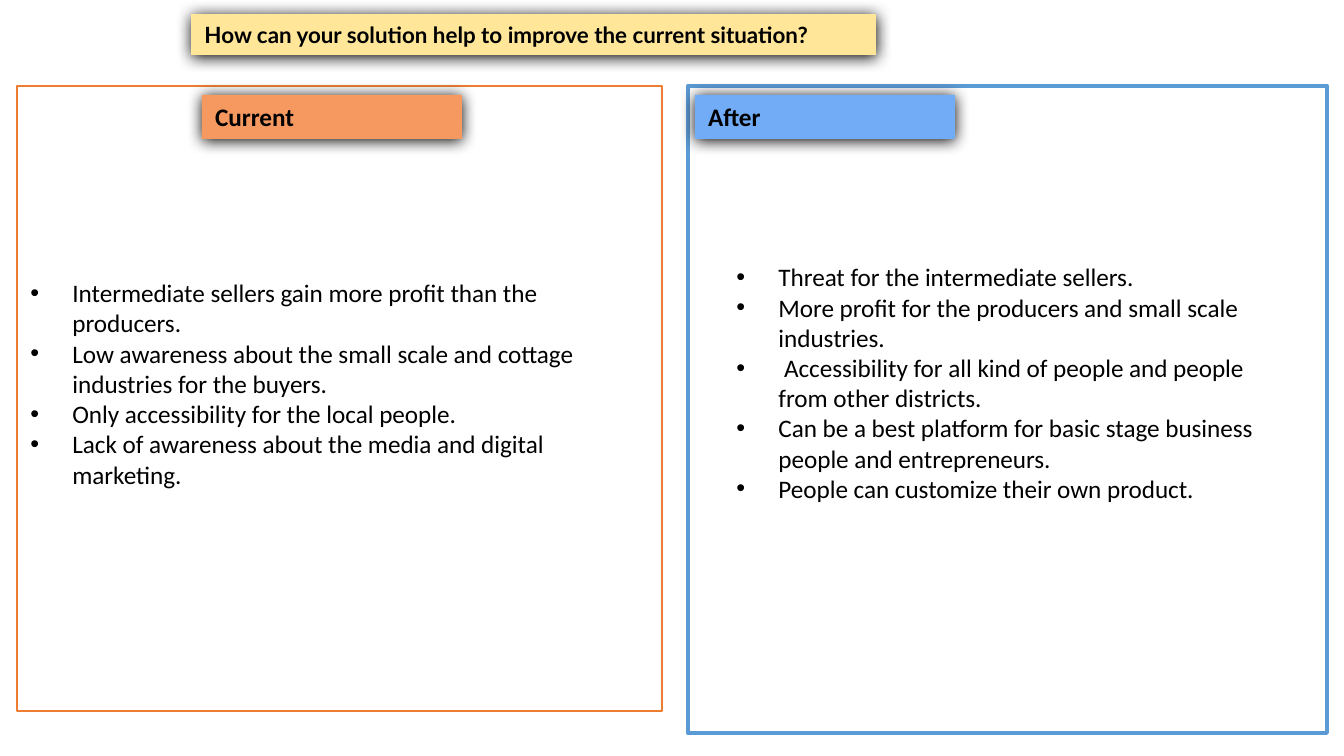
from lxml.etree import SubElement
from pptx import Presentation
from pptx.dml.color import RGBColor
from pptx.enum.shapes import MSO_SHAPE as SHAPE
from pptx.enum.text import MSO_ANCHOR as ANCHOR, MSO_AUTO_SIZE as AUTO_SIZE, PP_ALIGN as ALIGN
from pptx.oxml.ns import qn
from pptx.util import Pt

PX = 914400 / 134.4  # EMU in one px
BLACK = RGBColor(0x00, 0x00, 0x00)
WHITE = RGBColor(0xFF, 0xFF, 0xFF)
YELLOW = RGBColor(0xFF, 0xE6, 0x99)
ORANGE = RGBColor(0xED, 0x7D, 0x31)
LIGHT_ORANGE = RGBColor(0xF6, 0x99, 0x60)
BLUE = RGBColor(0x5B, 0x9B, 0xD5)
LIGHT_BLUE = RGBColor(0x72, 0xAB, 0xF6)

HEADING_FONT = {"name": "Lato", "size": Pt(12), "bold": True}
LABEL_FONT = {"name": "Calibri", "size": Pt(13.5), "bold": True}
LIST_FONT = {"name": "Calibri", "size": Pt(13.5), "bold": False}


def style_box(box, bounds, fill=None, line=None, width=1, shadow=False):
    for side, length in zip(("left", "top", "width", "height"), bounds):
        setattr(box, side, round(length * PX))
    if fill is None:
        box.fill.background()
    else:
        box.fill.solid()
        box.fill.fore_color.rgb = fill
    if line is None:
        box.line.fill.background()
    else:
        box.line.color.rgb = line
        box.line.width = Pt(width)
    box.shadow.inherit = False
    if shadow:
        effects = box.element.spPr.find(qn("a:effectLst"))
        outer = SubElement(effects, qn("a:outerShdw"), blurRad=str(Pt(8.5)),
                           dist=str(Pt(1)), dir="5400000", algn="ctr", rotWithShape="0")
        SubElement(outer, qn("a:srgbClr"), val="000000")


def write_text(box, lines, font, anchor=ANCHOR.TOP, bulleted=False):
    frame = box.text_frame
    frame.word_wrap = True
    frame.auto_size = AUTO_SIZE.NONE
    frame.vertical_anchor = anchor
    for number, line in enumerate(lines):
        para = frame.add_paragraph() if number else frame.paragraphs[0]
        para.alignment = ALIGN.LEFT
        para.space_before = Pt(0)
        span = para.add_run()
        span.text = line
        span.font.color.rgb = BLACK
        for name, value in font.items():
            setattr(span.font, name, value)
        if bulleted:
            props = para._p.get_or_add_pPr()
            props.set("marL", str(round(42 * PX)))
            props.set("indent", str(round(-42 * PX)))
            SubElement(props, qn("a:buFont"), typeface="Arial")
            SubElement(props, qn("a:buChar"), char="•")


deck = Presentation()
deck.slide_width = round(1344 * PX)
deck.slide_height = round(756 * PX)
page = deck.slides.add_slide(deck.slide_layouts[3])  # Two Content
heading, current_list, after_list = page.placeholders

# Heading
style_box(heading, (191, 14, 685, 41), YELLOW, shadow=True)
write_text(heading, ["How can your solution help to improve the current situation?"],
           HEADING_FONT)

# Current situation: the list sits in the orange frame, a line above its middle
style_box(current_list, (17, 86, 645, 625), WHITE, ORANGE)
write_text(current_list, [
    "Intermediate sellers gain more profit than the producers.",
    "Low awareness about the small scale and cottage industries for the buyers.",
    "Only accessibility for the local people.",
    "Lack of awareness about the media and digital marketing.",
], LIST_FONT, ANCHOR.MIDDLE, bulleted=True)
current_list.text_frame.margin_bottom = round(37 * PX)

# Situation after: the list lies over a blue frame
style_box(after_list, (723, 255, 565, 308))
write_text(after_list, [
    "Threat for the intermediate sellers.",
    "More profit for the producers and small scale industries.",
    " Accessibility for all kind of people and people from other districts.",
    "Can be a best platform for basic stage business people and entrepreneurs.",
    "People can customize their own product.",
], LIST_FONT, bulleted=True)
after_frame = page.shapes.add_shape(SHAPE.RECTANGLE, 0, 0, 0, 0)
style_box(after_frame, (688, 86, 639, 647), line=BLUE, width=2.25)

# Labels of the two frames
for text, left, fill in (("Current", 202, LIGHT_ORANGE), ("After", 695, LIGHT_BLUE)):
    label = page.shapes.add_shape(SHAPE.RECTANGLE, 0, 0, 0, 0)
    style_box(label, (left, 95, 260, 44), fill, shadow=True)
    write_text(label, [text], LABEL_FONT)

deck.save("out.pptx")
